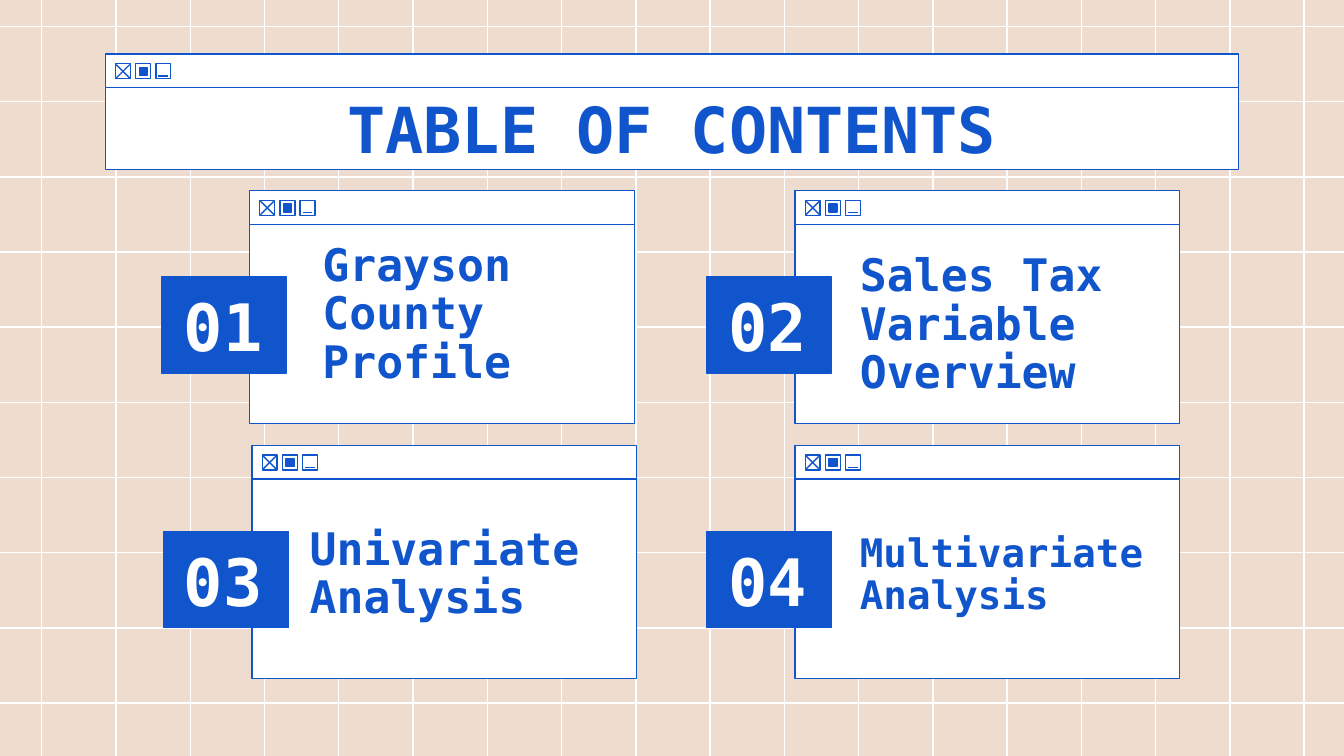
import pptx
import pptx.util
import pptx.dml.color
import pptx.enum.shapes
import pptx.enum.text
from lxml import etree

Pt = pptx.util.Pt
RGB = pptx.dml.color.RGBColor.from_string
SHAPE = pptx.enum.shapes.MSO_SHAPE
ALIGN = pptx.enum.text.PP_ALIGN
COLORS = {"sand": "EEDCCE", "white": "FFFFFF", "blue": "1155CC"}
A = "http://schemas.openxmlformats.org/drawingml/2006/main"

prs = pptx.Presentation()
prs.slide_width, prs.slide_height = Pt(720), Pt(405)
s = prs.slides.add_slide(prs.slide_layouts[5])
s.background.fill.solid()
s.background.fill.fore_color.rgb = RGB(COLORS["sand"])


def write(sp, text, size, color="blue", align=ALIGN.LEFT, spacing=None):
    tf = sp.text_frame
    tf.word_wrap = True
    tf.auto_size = pptx.enum.text.MSO_AUTO_SIZE.NONE
    tf.vertical_anchor = pptx.enum.text.MSO_ANCHOR.MIDDLE
    tf.margin_left = tf.margin_right = tf.margin_top = tf.margin_bottom = Pt(7.2)
    p = tf.paragraphs[0]
    p.alignment = align
    p.line_spacing = spacing
    r = p.add_run()
    r.text = text
    r.font.name, r.font.size, r.font.bold = "DejaVu Sans Mono", Pt(size), True
    r.font.color.rgb = RGB(COLORS[color])


def draw(kind, a, b, c, d, color=None):
    """Draw a "rect" (left, top, width, height, fill) or a "line" (x1, y1, x2, y2, stroke)."""
    box = [Pt(v) for v in (a, b, c, d)]
    if kind == "line":
        sp = s.shapes.add_connector(pptx.enum.shapes.MSO_CONNECTOR.STRAIGHT, *box)
        etree.SubElement(sp.element.spPr, f"{{{A}}}effectLst")
        stroke = color or "blue"
    else:
        sp = s.shapes.add_shape(SHAPE.RECTANGLE, *box)
        sp.shadow.inherit = False
        stroke = "blue"
        if color:
            sp.fill.solid()
            sp.fill.fore_color.rgb = RGB(COLORS[color])
        else:
            sp.fill.background()
    sp.line.color.rgb = RGB(COLORS[stroke])
    sp.line.width = Pt(0.75)


# Background grid
for i in range(18):
    x = 22.4 + 39.78 * i
    draw("line", x, -0.5, x, 405.5, "white")
for i in range(10):
    y = 14.2 + 40.27 * i
    draw("line", 720, y, 0, y, "white")

# Title, brought in front of the grid
title = s.shapes.title
title.element.getparent().append(title.element)
title.left, title.top, title.width, title.height = Pt(56.5), Pt(47), Pt(607), Pt(43.8)
title.fill.solid()
title.fill.fore_color.rgb = RGB(COLORS["white"])
title.line.color.rgb = RGB(COLORS["blue"])
title.line.width = Pt(0.75)
write(title, "TABLE OF CONTENTS", 34, align=ALIGN.CENTER)

# Windows: left, top, width, body height (the title is the body of the first)
ROWS, BODY = (102.2, 238.6), 106.8
windows = [(56.5, 29, 607, 0)]
windows += [(x, y, 206, BODY) for x, y in
            ((133.8, ROWS[0]), (426, ROWS[0]), (135.1, ROWS[1]), (426, ROWS[1]))]
for left, top, width, body in windows:
    if body:
        draw("rect", left, top + 18, width, body, "white")
    draw("rect", left, top, width, 18, "white")
    x, y = left + 5.4, top + 5.2
    for i in range(3):
        draw("rect", x + 10.8 * i, y, 8, 8)
    draw("line", x + 0.4, y + 0.4, x + 7.6, y + 7.6)
    draw("line", x + 7.6, y + 0.4, x + 0.4, y + 7.6)
    draw("rect", x + 12.8, y + 2, 4.2, 4.2, "blue")
    draw("line", x + 23, y + 6.5, x + 28, y + 6.5)

# Numbered sections: text, size, text box left, top, width, height
sections = [
    ("Grayson County Profile", 24, 165.6, 143.3, 150.5, 51.1),
    ("Sales Tax Variable Overview", 24, 453.6, 148.8, 150.5, 51.1),
    ("Univariate Analysis", 24, 158.8, 275, 162.7, 66.2),
    ("Multivariate Analysis", 21, 453.6, 283, 201.6, 51.1),
]
for i, (text, size, *box) in enumerate(sections):
    left, top = windows[i + 1][:2]
    draw("rect", left - 47.4, top + 46.2, 67, 51.6, "blue")
    number = s.shapes.add_textbox(Pt((87.6, 379.4)[i % 2]), Pt(top + 54.8), Pt(64), Pt(34.6))
    write(number, f"{i + 1:02}", 35, color="white", align=ALIGN.CENTER)
    label = s.shapes.add_textbox(*[Pt(v) for v in box])
    write(label, text, size, spacing=0.9)

prs.save("out.pptx")
